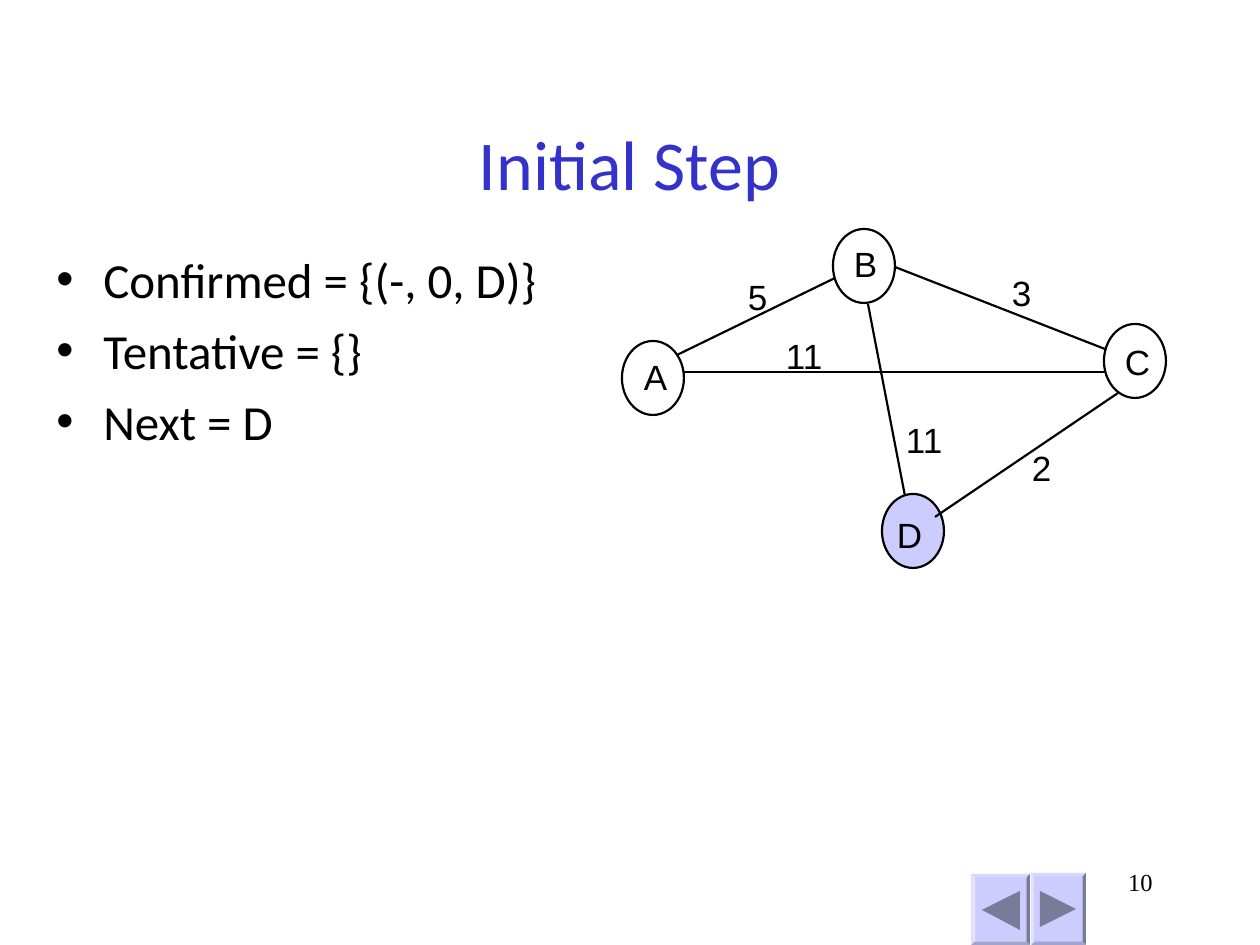
"""Build the initial step slide of a shortest-path walk through a weighted graph."""
from dataclasses import dataclass

from lxml import etree
from pptx import Presentation
from pptx import util as u
from pptx.dml.color import RGBColor
from pptx.enum import shapes, text
from pptx.oxml import ns

PX = 914400 // 126


@dataclass(frozen=True)
class Theme:
    """Colours, fonts and type sizes of the slide."""
    ink: str = "000000"
    heading: str = "3333CC"
    accent: str = "CCCCFF"
    arrow: str = "7A7A99"
    main_font: str = "Calibri"
    graph_font: str = "Arial"
    number_font: str = "Times New Roman"
    title_size: int = 40
    body_size: int = 28
    graph_size: int = 20
    number_size: int = 14
    stroke: float = 1.25


THEME = Theme()
NODE_SIZE = (62, 74)
LABEL_HEIGHT = 42

# name: (node corner, label corner, fill)
NODES = {
    "D": ((882, 494), (897, 513), THEME.accent),
    "A": ((622, 341), (644, 355), None),
    "B": ((833, 229), (854, 243), None),
    "C": ((1104, 324), (1125, 340), None),
}
# (weight, weight corner, start, end)
EDGES = [
    ("5", (748, 275), (677, 355), (835, 278)),
    ("3", (1012, 271), (895, 267), (1105, 349)),
    ("11", (786, 334), (683, 372), (1106, 372)),
    ("11", (906, 418), (868, 304), (905, 496)),
    ("2", (1032, 446), (1118, 393), (935, 517)),
]
STEPS = ["Confirmed = {(-, 0, D)}", "Tentative = {}", "Next = D"]


def px(*lengths):
    """Turn pixel lengths into EMU."""
    return [u.Emu(length * PX) for length in lengths]


def apply(target, formats):
    """Set each format value as an attribute of the target."""
    for name, value in formats.items():
        setattr(target, name, value)


def paint(shape, fill=None, line=None):
    """Give a shape a flat fill and outline, or none."""
    shape.shadow.inherit = False
    if fill:
        shape.fill.solid()
        shape.fill.fore_color.rgb = RGBColor.from_string(fill)
    else:
        shape.fill.background()
    if line:
        shape.line.color.rgb = RGBColor.from_string(line)
        shape.line.width = u.Pt(THEME.stroke)
    else:
        shape.line.fill.background()


def add_text(slide, box, lines, font, size, color=THEME.ink,
             frame_format=None, paragraph_format=None):
    """Add a text box with one paragraph a line and return its paragraphs."""
    frame = slide.shapes.add_textbox(*px(*box)).text_frame
    apply(frame, {"word_wrap": True, **(frame_format or {})})
    frame.text = "\n".join(lines)
    for paragraph in frame.paragraphs:
        apply(paragraph, paragraph_format or {})
        apply(paragraph.font, {"name": font, "size": u.Pt(size)})
        paragraph.font.color.rgb = RGBColor.from_string(color)
    return frame.paragraphs


def add_bullet(paragraph, indent):
    """Give a paragraph a round bullet with a hanging indent in pixels."""
    properties = paragraph._p.get_or_add_pPr()
    hang = indent * PX
    properties.set("marL", str(hang))
    properties.set("indent", str(-hang))
    etree.SubElement(properties, ns.qn("a:buFont")).set("typeface", THEME.graph_font)
    etree.SubElement(properties, ns.qn("a:buChar")).set("char", "•")


def add_label(slide, corner, label):
    """Add a graph label whose box hugs the text."""
    hug = {"word_wrap": False, "auto_size": text.MSO_AUTO_SIZE.SHAPE_TO_FIT_TEXT}
    hug.update(dict.fromkeys(
        ("margin_left", "margin_top", "margin_right", "margin_bottom"), 0))
    width = 5 + 20 * len(label)
    add_text(slide, (*corner, width, LABEL_HEIGHT), [label],
             THEME.graph_font, THEME.graph_size, frame_format=hug)


def add_node(slide, name, corner, label_corner, fill):
    """Add a graph node with its name."""
    node = slide.shapes.add_shape(shapes.MSO_SHAPE.OVAL, *px(*corner, *NODE_SIZE))
    paint(node, fill, THEME.ink)
    add_label(slide, label_corner, name)


def add_edge(slide, start, end):
    """Add a straight graph edge."""
    edge = slide.shapes.add_connector(
        shapes.MSO_CONNECTOR.STRAIGHT, *px(*start, *end))
    edge.line.color.rgb = RGBColor.from_string(THEME.ink)
    edge.line.width = u.Pt(THEME.stroke)
    etree.SubElement(edge._element.spPr, ns.qn("a:effectLst"))


def add_button(slide, box, points):
    """Add a bevelled button with an arrow through the given points."""
    button = slide.shapes.add_shape(shapes.MSO_SHAPE.BEVEL, *px(*box))
    button.adjustments[0] = 0.06
    paint(button, THEME.accent)
    builder = slide.shapes.build_freeform(*points[0], scale=PX)
    builder.add_line_segments(points[1:], close=True)
    paint(builder.convert_to_shape(), THEME.arrow)


def main():
    """Build and save the slide."""
    deck = Presentation()
    apply(deck, {"slide_width": u.Inches(10), "slide_height": u.Inches(7.5)})
    slide = deck.slides.add_slide(deck.slide_layouts[6])

    add_button(slide, (971, 874, 59, 71), [(982, 910), (1020, 891), (1020, 930)])
    add_button(slide, (1031, 873, 55, 72), [(1040, 891), (1076, 909), (1040, 927)])
    add_text(slide, (903, 861, 262, 63), ["10"], THEME.number_font,
             THEME.number_size, paragraph_format={"alignment": text.PP_ALIGN.RIGHT})
    add_text(slide, (94, 84, 1071, 158), ["Initial Step"], THEME.main_font,
             THEME.title_size, THEME.heading,
             {"vertical_anchor": text.MSO_ANCHOR.MIDDLE},
             {"alignment": text.PP_ALIGN.CENTER})
    steps = add_text(slide, (44, 243, 557, 567), STEPS, THEME.main_font,
                     THEME.body_size, paragraph_format={"space_before": u.Pt(7)})
    for step in steps:
        add_bullet(step, 47)

    for name, node in NODES.items():
        add_node(slide, name, *node)
    for weight, corner, start, end in EDGES:
        add_edge(slide, start, end)
        add_label(slide, corner, weight)

    deck.save("out.pptx")


if __name__ == "__main__":
    main()
